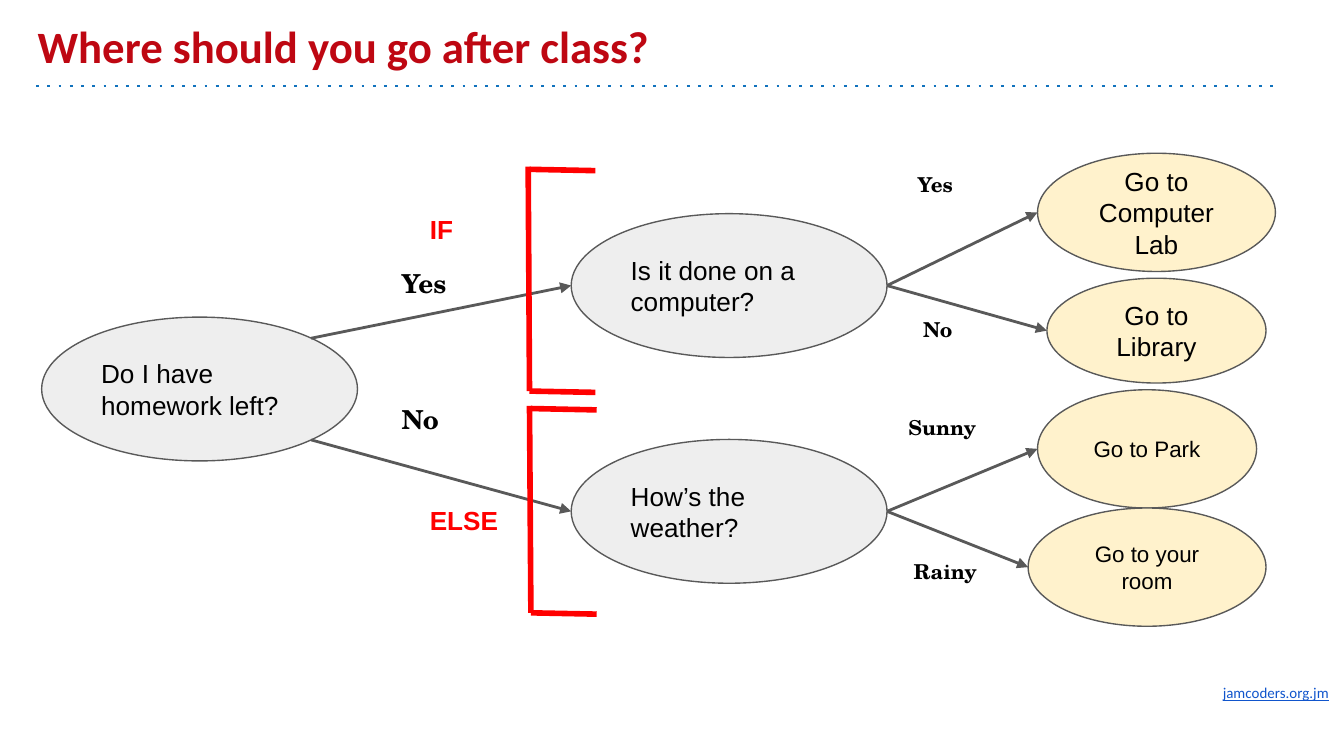
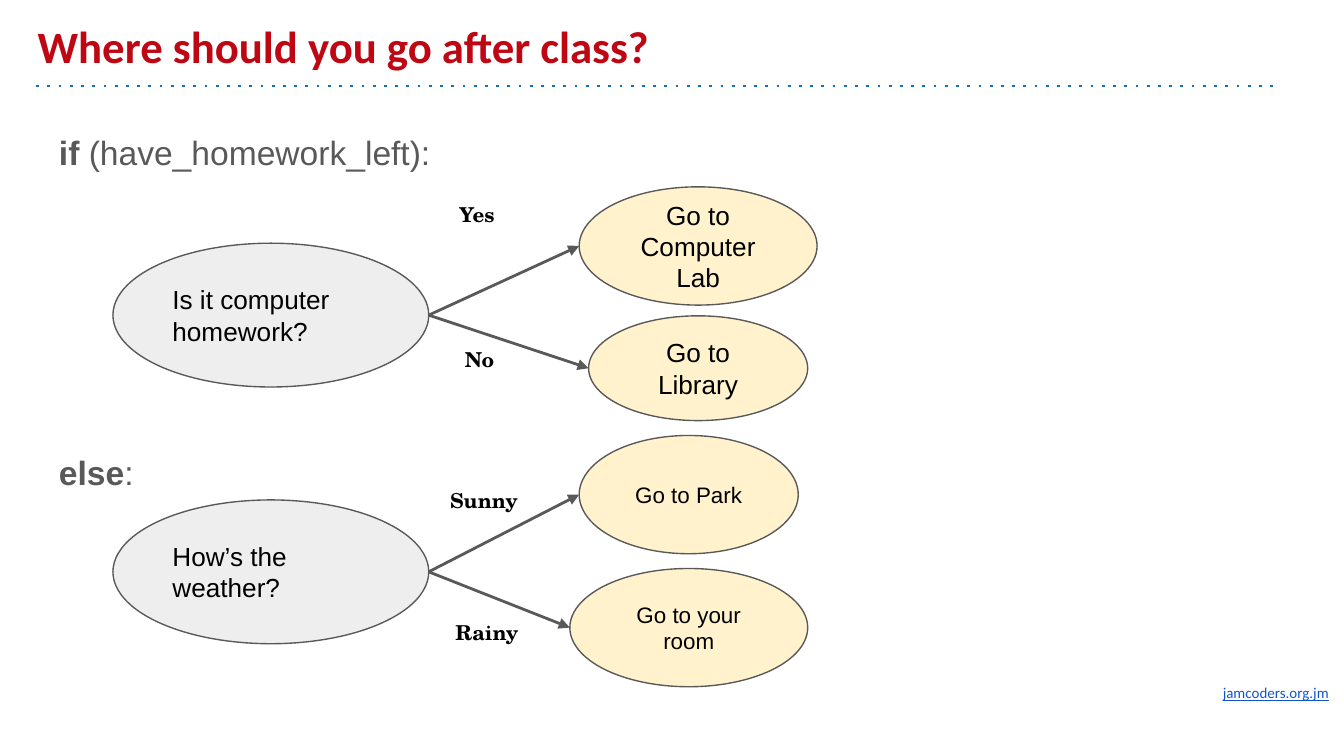
import math

import lxml.etree
import pptx
import pptx.dml.color
import pptx.enum.shapes
import pptx.enum.text
import pptx.oxml.ns
import pptx.util

UNIT = pptx.util.Inches(0.1)  # one column or row of the grid
COLS, ROWS = 100, 56.25

COLORS = {
    "title": "BE0712", "rule": "1072BD", "link": "1155CC", "question": "EEEEEE",
    "answer": "FFF2CC", "gray": "595959", "mark": "FF0000", "ink": "000000",
}

ANCHOR = pptx.enum.text.MSO_ANCHOR
ALIGN = pptx.enum.text.PP_ALIGN

TITLE = {"name": "Calibri", "size": 24, "bold": True, "color": "title"}
FOOTER = {"name": "Calibri", "size": 8, "underline": True, "color": "link"}
NODE = {"name": "Arial", "size": 14, "color": "ink"}
SMALL_NODE = {**NODE, "size": 12}
CHOICE = {"name": "TeX Gyre Schola", "size": 14, "bold": True, "color": "ink"}
SMALL_CHOICE = {**CHOICE, "size": 11}
MARK = {"name": "Arial", "size": 14, "bold": True, "color": "mark"}
CODE = {"name": "Arial", "size": 18, "bold": False, "color": "gray"}
KEYWORD = {**CODE, "bold": True}

QUESTION_SIZE = (23.5, 10.7)

# Ellipse connection sites: index and angle in degrees, clockwise from the right
SITES = {"left": (2, 180), "right": (6, 0), "lower right": (5, 45), "upper right": (7, -45)}

# Answers and choice labels, as (text, column from the question, size, format)
HOMEWORK = [
    (("Go to Computer Lab", 34.7, (17.7, 8.8), NODE), ("Yes", 24.8, (8.5, 6.3))),
    (("Go to Library", 35.4, (16.3, 7.8), NODE), ("No", 25.2, (8.5, 4.7))),
]
WEATHER = [
    (("Go to Park", 34.7, (16.3, 8.8), SMALL_NODE), ("Sunny", 24.1, (8.5, 6.3))),
    (("Go to your room", 34, (17.7, 8.8), SMALL_NODE), ("Rainy", 24.5, (7.6, 5.7))),
]


def grid(*values):
    return [round(v * UNIT) for v in values]


def rgb(name):
    return pptx.dml.color.RGBColor.from_string(COLORS[name])


def write(sp, runs, anchor=ANCHOR.TOP, align=ALIGN.LEFT, spacing=None):
    """Fill a shape with one paragraph of (text, format) runs."""
    tf = sp.text_frame
    frame = {"word_wrap": True, "auto_size": pptx.enum.text.MSO_AUTO_SIZE.NONE,
             "vertical_anchor": anchor}
    frame.update({f"margin_{side}": UNIT for side in ("left", "top", "right", "bottom")})
    for key, value in frame.items():
        setattr(tf, key, value)
    p = tf.paragraphs[0]
    p.alignment = align
    if spacing:
        p.line_spacing = spacing
    for text, style in runs:
        r = p.add_run()
        r.text = text
        for key, value in style.items():
            if key == "color":
                r.font.color.rgb = rgb(value)
            else:
                setattr(r.font, key, pptx.util.Pt(value) if key == "size" else value)


def add_text(slide, box, runs, **options):
    sp = slide.shapes.add_textbox(*grid(*box))
    write(sp, runs, **options)


def add_line(slide, start, end, color, width, **ends):
    """Draw a straight line; ends maps prstDash or tailEnd to its value."""
    cxn = slide.shapes.add_connector(
        pptx.enum.shapes.MSO_CONNECTOR.STRAIGHT, *grid(*start, *end))
    cxn.line.color.rgb = rgb(color)
    cxn.line.width = pptx.util.Pt(width)
    qn = pptx.oxml.ns.qn
    ln = cxn.line._get_or_add_ln()
    for tag, value in ends.items():
        attr = "val" if tag == "prstDash" else "type"
        lxml.etree.SubElement(ln, qn(f"a:{tag}")).set(attr, value)
    lxml.etree.SubElement(cxn._element.spPr, qn("a:effectLst"))
    return cxn


def add_node(slide, box, text, fill, style=NODE, align=ALIGN.LEFT):
    sp = slide.shapes.add_shape(pptx.enum.shapes.MSO_SHAPE.OVAL, *grid(*box))
    sp.shadow.inherit = False
    sp.fill.solid()
    sp.fill.fore_color.rgb = rgb(fill)
    sp.line.color.rgb = rgb("gray")
    sp.line.width = pptx.util.Pt(0.75)
    write(sp, [(text, style)], anchor=ANCHOR.MIDDLE, align=align)
    return sp


def site_point(sp, site):
    """Grid position of a connection site on an ellipse."""
    angle = math.radians(SITES[site][1])
    x = sp.left + sp.width / 2 * (1 + math.cos(angle))
    y = sp.top + sp.height / 2 * (1 + math.sin(angle))
    return x / UNIT, y / UNIT


def add_arrow(slide, source, site, target):
    """Join two ellipses, ending at the left of the target."""
    cxn = add_line(slide, site_point(source, site), site_point(target, "left"),
                   "gray", 1.5, tailEnd="triangle")
    props = cxn._element.find(".//" + pptx.oxml.ns.qn("p:cNvCxnSpPr"))
    for tag, sp, name in (("stCxn", source, site), ("endCxn", target, "left")):
        joint = lxml.etree.SubElement(props, pptx.oxml.ns.qn(f"a:{tag}"))
        joint.set("id", str(sp.shape_id))
        joint.set("idx", str(SITES[name][0]))


def add_branch(slide, x, y, question, options, answer_rows, choice_rows):
    """Draw a question with its two answers; rows count from the question's top."""
    source = add_node(slide, (x, y, *QUESTION_SIZE), question, "question")
    for (answer, choice), row, choice_row in zip(options, answer_rows, choice_rows):
        text, dx, size, style = answer
        target = add_node(slide, (x + dx, y + row, *size), text, "answer", style, ALIGN.CENTER)
        add_arrow(slide, source, "right", target)
        text, dx, size = choice
        add_text(slide, (x + dx, y + choice_row, *size), [(text, SMALL_CHOICE)])
    return source


def add_bracket(slide, x, top, bottom):
    spine, tip = x + 0.1, x + 5
    for start, end in (
        ((x, top), (spine, bottom)),
        ((tip, top + 0.3), (spine, top + 0.2)),
        ((tip, bottom + 0.1), (spine, bottom)),
    ):
        add_line(slide, start, end, "mark", 3)


def add_base_slide(prs, title):
    """Add a title-only slide with the dotted rule and the footer."""
    slide = prs.slides.add_slide(prs.slide_layouts[5])
    add_text(slide, (90, 49.9, 11, 3.4), [("jamcoders.org.jm", FOOTER)])
    add_line(slide, (2.7, 6.4), (95, 6.4), "rule", 1.5, prstDash="dot")
    sp = slide.shapes.title
    sp.left, sp.top, sp.width, sp.height = grid(1.8, 1, 90, 5.4)
    write(sp, [(title, TITLE)], anchor=ANCHOR.BOTTOM)
    return slide


def add_tree_slide(prs, title):
    slide = add_base_slide(prs, title)
    root = add_node(slide, (3.1, 23.6, *QUESTION_SIZE), "Do I have homework left?", "question")
    homework = add_branch(slide, 42.5, 15.9, "Is it done on a computer?", HOMEWORK,
                          (-4.5, 4.8), (-4.1, 6.7))
    weather = add_branch(slide, 42.5, 32.7, "How’s the weather?", WEATHER,
                         (-3.7, 5.1), (-2.8, 7.9))
    for choice, row, site, target in (("Yes", 18.9, "upper right", homework),
                                      ("No", 29, "lower right", weather)):
        add_text(slide, (28.9, row, 6.8, 4.7), [(choice, CHOICE)])
        add_arrow(slide, root, site, target)
    for mark, row, width, x, top, bottom in (("IF", 14.9, 4.9, 39.3, 12.4, 29.1),
                                             ("ELSE", 36.5, 7.6, 39.4, 30.2, 45.6)):
        add_bracket(slide, x, top, bottom)
        add_text(slide, (31, row, width, 4.7), [(mark, MARK)])


def add_code_slide(prs, title):
    slide = add_base_slide(prs, title)
    for keyword, rest, row in (("if", " (have_homework_left):", 8.4), ("else", ":", 32.2)):
        add_text(slide, (3.4, row, 93.2, 6.3), [(keyword, KEYWORD), (rest, CODE)], spacing=1.15)
    add_branch(slide, 8.4, 18.1, "Is it computer homework?", HOMEWORK,
               (-4.2, 5.4), (-4.1, 6.7))
    add_branch(slide, 8.4, 37.2, "How’s the weather?", WEATHER,
               (-4.8, 5.1), (-1.9, 7.9))


def main():
    prs = pptx.Presentation()
    prs.slide_width, prs.slide_height = grid(COLS, ROWS)
    title = "Where should you go after class?"
    add_tree_slide(prs, title)
    add_code_slide(prs, title)
    prs.save("out.pptx")


if __name__ == "__main__":
    main()
